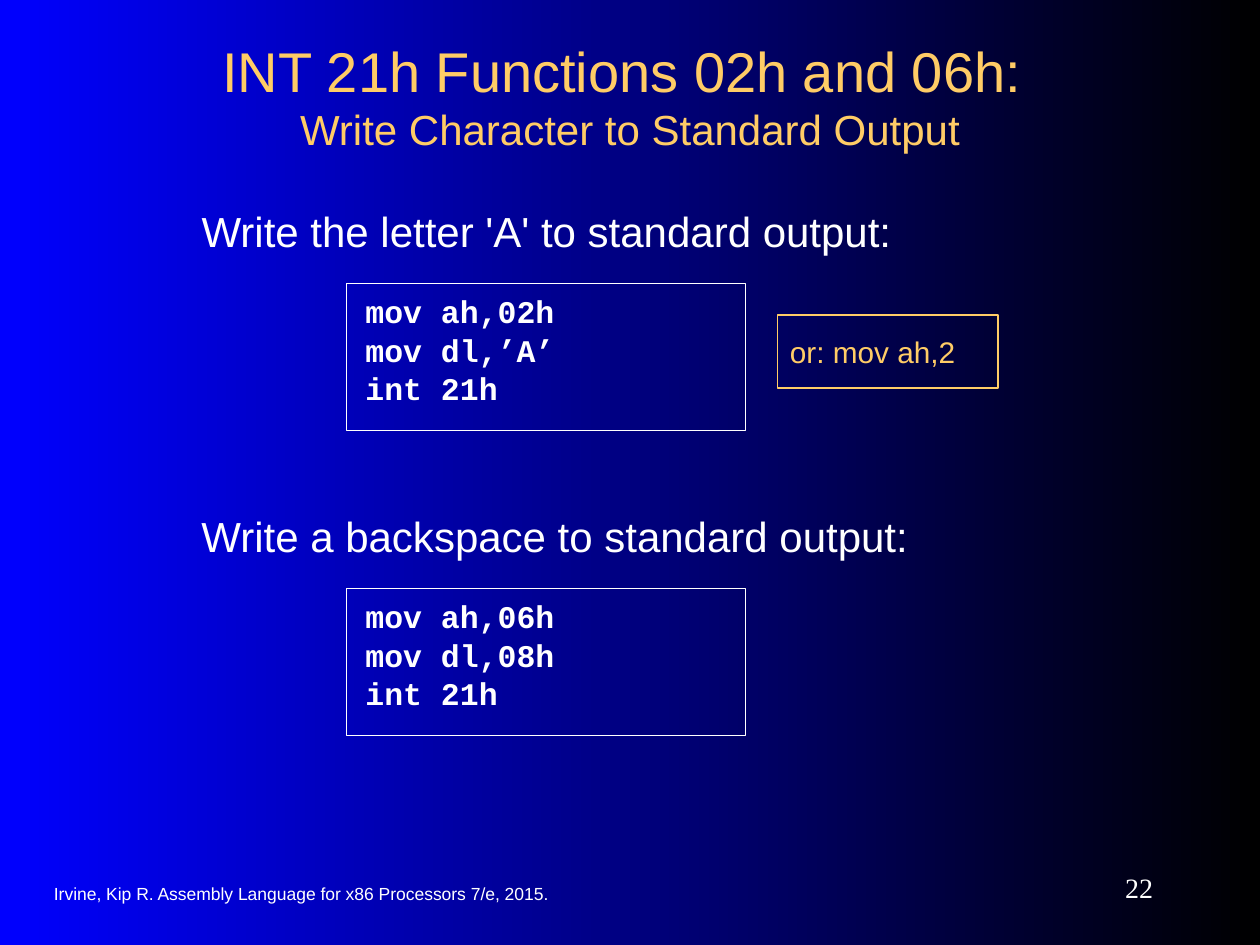
from pptx import Presentation
from pptx.dml.color import RGBColor
from pptx.enum.shapes import MSO_SHAPE
from pptx.enum.text import MSO_ANCHOR, MSO_AUTO_SIZE, PP_ALIGN
from pptx.oxml.ns import qn
from pptx.util import Inches, Pt

COLORS = {"blue": "0000FF", "black": "000000", "white": "FFFFFF", "gold": "FFCC66"}


def color(name):
    return RGBColor.from_string(COLORS[name])


def set_background(slide):
    fill = slide.background.fill
    fill.gradient()
    fill.gradient_angle = 0
    for stop, name in zip(fill.gradient_stops, ("blue", "black")):
        stop.color.rgb = color(name)


def place(shape, left, top, width, height):
    shape.left, shape.top = Inches(left), Inches(top)
    shape.width, shape.height = Inches(width), Inches(height)


def set_frame(shape, anchor, side=0.1, edge=0.05):
    frame = shape.text_frame
    frame.word_wrap = True
    frame.auto_size = MSO_AUTO_SIZE.NONE
    frame.vertical_anchor = anchor
    frame.margin_left = frame.margin_right = Inches(side)
    frame.margin_top = frame.margin_bottom = Inches(edge)
    return frame


def style(paragraph, size, color_name="white", font_name="Arial", bold=False,
          align=PP_ALIGN.LEFT, before=0, spacing=1.0):
    font = paragraph.font
    font.size, font.name, font.bold = Pt(size), font_name, bold
    font.color.rgb = color(color_name)
    paragraph.alignment = align
    paragraph.space_before = Pt(before)
    paragraph.line_spacing = spacing


def fill_title(title, heading, subheading):
    place(title, 0.75, 0.42, 8.5, 0.67)
    paragraph = set_frame(title, MSO_ANCHOR.MIDDLE).paragraphs[0]
    style(paragraph, 32, "gold", align=PP_ALIGN.CENTER)
    paragraph.add_run().text = heading
    paragraph.add_line_break()
    run = paragraph.add_run()
    run.text = subheading
    run.font.size = Pt(24)


def fill_statement(shape, text):
    """Write an unbulleted sentence above a code box."""
    frame = set_frame(shape, MSO_ANCHOR.TOP)
    frame.text = text
    paragraph = frame.paragraphs[0]
    style(paragraph, 24, before=6)
    properties = paragraph._p.get_or_add_pPr()
    properties.set("marL", "0")
    properties.set("indent", "0")
    properties.append(properties.makeelement(qn("a:buNone"), {}))


def add_label(slide, box, text, size, font_name="Arial", align=PP_ALIGN.LEFT):
    label = slide.shapes.add_textbox(*map(Inches, box))
    frame = set_frame(label, MSO_ANCHOR.MIDDLE)
    frame.text = text
    style(frame.paragraphs[0], size, font_name=font_name, align=align)


def add_outlined_box(slide, box, lines, line_color, side, edge, **text_style):
    shape = slide.shapes.add_shape(MSO_SHAPE.RECTANGLE, *map(Inches, box))
    shape.shadow.inherit = False
    shape.fill.background()
    shape.line.color.rgb = color(line_color)
    shape.line.width = Pt(0.75)
    frame = set_frame(shape, MSO_ANCHOR.TOP, side, edge)
    frame.text = "\n".join(lines)
    for paragraph in frame.paragraphs:
        style(paragraph, color_name=line_color, **text_style)


def add_code_box(slide, top, lines):
    add_outlined_box(slide, (2.75, top, 3.17, 1.17), lines, "white", 0.15, 0.2,
                     size=18, font_name="Courier New", bold=True,
                     before=11.2, spacing=0.5)


def main():
    presentation = Presentation()
    presentation.slide_width, presentation.slide_height = Inches(10), Inches(7.5)
    slide = presentation.slides.add_slide(presentation.slide_layouts[1])
    set_background(slide)
    fill_title(slide.shapes.title, "INT 21h Functions 02h and 06h: ",
               "Write Character to Standard Output")

    body = slide.placeholders[1]
    place(body, 1.5, 1.58, 7.08, 2.25)
    fill_statement(body, "Write the letter 'A' to standard output:")
    add_code_box(slide, 2.25, ["mov ah,02h", "mov dl,’A’", "int 21h"])
    add_outlined_box(slide, (6.17, 2.5, 1.75, 0.58), ["or: mov ah,2"], "gold",
                     0.1, 0.15, size=17, before=10.6)

    backspace = slide.shapes.add_textbox(*map(Inches, (1.5, 4, 7.08, 2.25)))
    fill_statement(backspace, "Write a backspace to standard output:")
    add_code_box(slide, 4.67, ["mov ah,06h", "mov dl,08h", "int 21h"])

    add_label(slide, (0.33, 6.93, 4.83, 0.33),
              "Irvine, Kip R. Assembly Language for x86 Processors 7/e, 2015.", 10)
    add_label(slide, (8.17, 6.83, 1.08, 0.42), "22", 16, "Times New Roman",
              PP_ALIGN.RIGHT)
    presentation.save("out.pptx")


if __name__ == "__main__":
    main()
